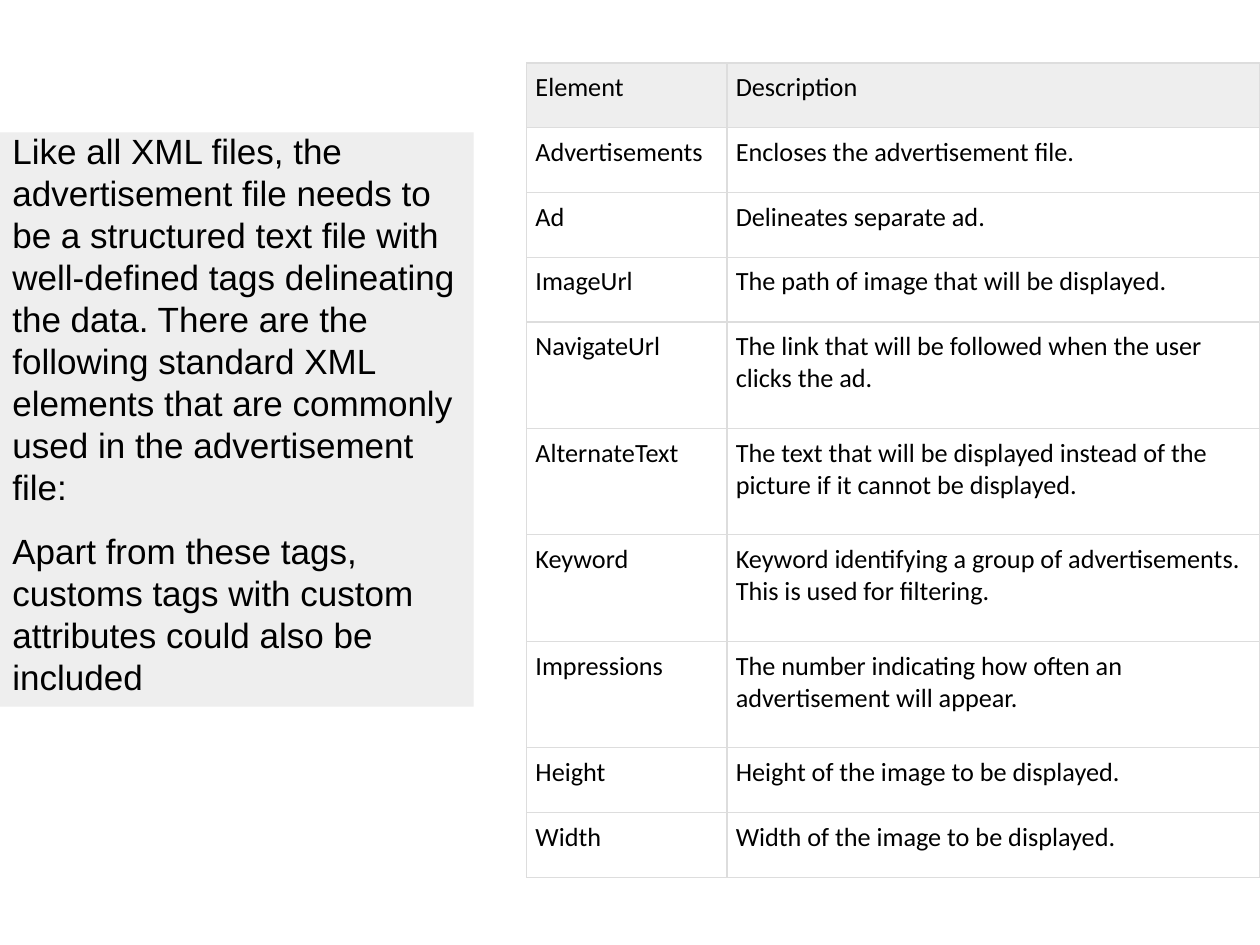
from dataclasses import dataclass

from lxml.etree import SubElement
from pptx import Presentation
from pptx.dml.color import RGBColor
from pptx.enum.shapes import MSO_SHAPE
from pptx.enum.text import MSO_ANCHOR, PP_ALIGN
from pptx.oxml.ns import qn
from pptx.util import Inches, Pt


@dataclass(frozen=True)
class Theme:
    ink: str = "000000"
    panel: str = "EEEEEE"
    border: str = "DDDDDD"
    border_width: float = 0.75
    intro_font: str = "Arial"
    intro_size: int = 20
    intro_leading: int = 24
    intro_gap: float = 12.5
    table_font: str = "Calibri"
    table_size: int = 15


THEME = Theme()

# Grid in inches
SLIDE_WIDTH, SLIDE_HEIGHT = 10, 7.5
TABLE_LEFT, TABLE_TOP = 4.18, 0.5
COLUMN_WIDTHS = (1.59, 4.23)
SHORT_ROW, TALL_ROW = 0.514, 0.845
TALL_ROWS = range(4, 8)
CELL_MARGIN = 0.07

INTRO = (
    "Like all XML files, the advertisement file needs to be a structured text file "
    "with well-defined tags delineating the data. There are the following standard "
    "XML elements that are commonly used in the advertisement file:",
    "Apart from these tags, customs tags with custom attributes could also be included",
)

ELEMENTS = (
    ("Element", "Description"),
    ("Advertisements", "Encloses the advertisement file."),
    ("Ad", "Delineates separate ad."),
    ("ImageUrl", "The path of image that will be displayed."),
    ("NavigateUrl", "The link that will be followed when the user clicks the ad."),
    ("AlternateText", "The text that will be displayed instead of the picture "
                      "if it cannot be displayed."),
    ("Keyword", "Keyword identifying a group of advertisements. "
                "This is used for filtering."),
    ("Impressions", "The number indicating how often an advertisement will appear."),
    ("Height", "Height of the image to be displayed."),
    ("Width", "Width of the image to be displayed."),
)


def style_paragraph(para, font_name, size):
    para.alignment = PP_ALIGN.LEFT
    para.font.name = font_name
    para.font.size = Pt(size)
    para.font.bold = False
    para.font.color.rgb = RGBColor.from_string(THEME.ink)


def set_borders(cell):
    """Draw the four cell edges; they must come before the fill."""
    properties = cell._tc.get_or_add_tcPr()
    for index, edge in enumerate(("lnL", "lnR", "lnT", "lnB")):
        line = SubElement(properties, qn(f"a:{edge}"), w=str(Pt(THEME.border_width)))
        fill = SubElement(line, qn("a:solidFill"))
        SubElement(fill, qn("a:srgbClr"), val=THEME.border)
        properties.insert(index, line)


def fill_cell(cell, text, is_header):
    cell.margin_left = cell.margin_right = Inches(CELL_MARGIN)
    cell.margin_top = cell.margin_bottom = Inches(CELL_MARGIN)
    cell.vertical_anchor = MSO_ANCHOR.TOP
    cell.text = text
    style_paragraph(cell.text_frame.paragraphs[0], THEME.table_font, THEME.table_size)
    if is_header:
        cell.fill.solid()
        cell.fill.fore_color.rgb = RGBColor.from_string(THEME.panel)
    else:
        cell.fill.background()
    set_borders(cell)


def add_element_table(page):
    heights = [TALL_ROW if row in TALL_ROWS else SHORT_ROW
               for row in range(len(ELEMENTS))]
    table = page.shapes.add_table(
        len(ELEMENTS), len(COLUMN_WIDTHS), Inches(TABLE_LEFT), Inches(TABLE_TOP),
        Inches(sum(COLUMN_WIDTHS)), Inches(sum(heights))).table
    table.horz_banding = False
    for column, width in zip(table.columns, COLUMN_WIDTHS):
        column.width = Inches(width)
    for index, (row, height, texts) in enumerate(zip(table.rows, heights, ELEMENTS)):
        row.height = Inches(height)
        for cell, text in zip(row.cells, texts):
            fill_cell(cell, text, index == 0)


def add_intro_panel(page):
    box = page.shapes.add_shape(
        MSO_SHAPE.RECTANGLE, 0, Inches(1.05), Inches(3.76), Inches(4.56))
    box.shadow.inherit = False
    box.fill.solid()
    box.fill.fore_color.rgb = RGBColor.from_string(THEME.panel)
    box.line.fill.background()

    frame = box.text_frame
    frame.word_wrap = True
    frame.vertical_anchor = MSO_ANCHOR.MIDDLE
    frame.margin_left = frame.margin_right = Inches(0.1)
    frame.margin_top, frame.margin_bottom = Inches(-0.05), Inches(0.05)
    frame.text = "\n".join(INTRO)
    for para in frame.paragraphs:
        style_paragraph(para, THEME.intro_font, THEME.intro_size)
        para.line_spacing = Pt(THEME.intro_leading)
    frame.paragraphs[-1].space_before = Pt(THEME.intro_gap)


def main():
    deck = Presentation()
    deck.slide_width, deck.slide_height = Inches(SLIDE_WIDTH), Inches(SLIDE_HEIGHT)
    page = deck.slides.add_slide(deck.slide_layouts[6])

    # Reference table on the right, explanation on the left
    add_element_table(page)
    add_intro_panel(page)

    deck.save("out.pptx")


if __name__ == "__main__":
    main()
